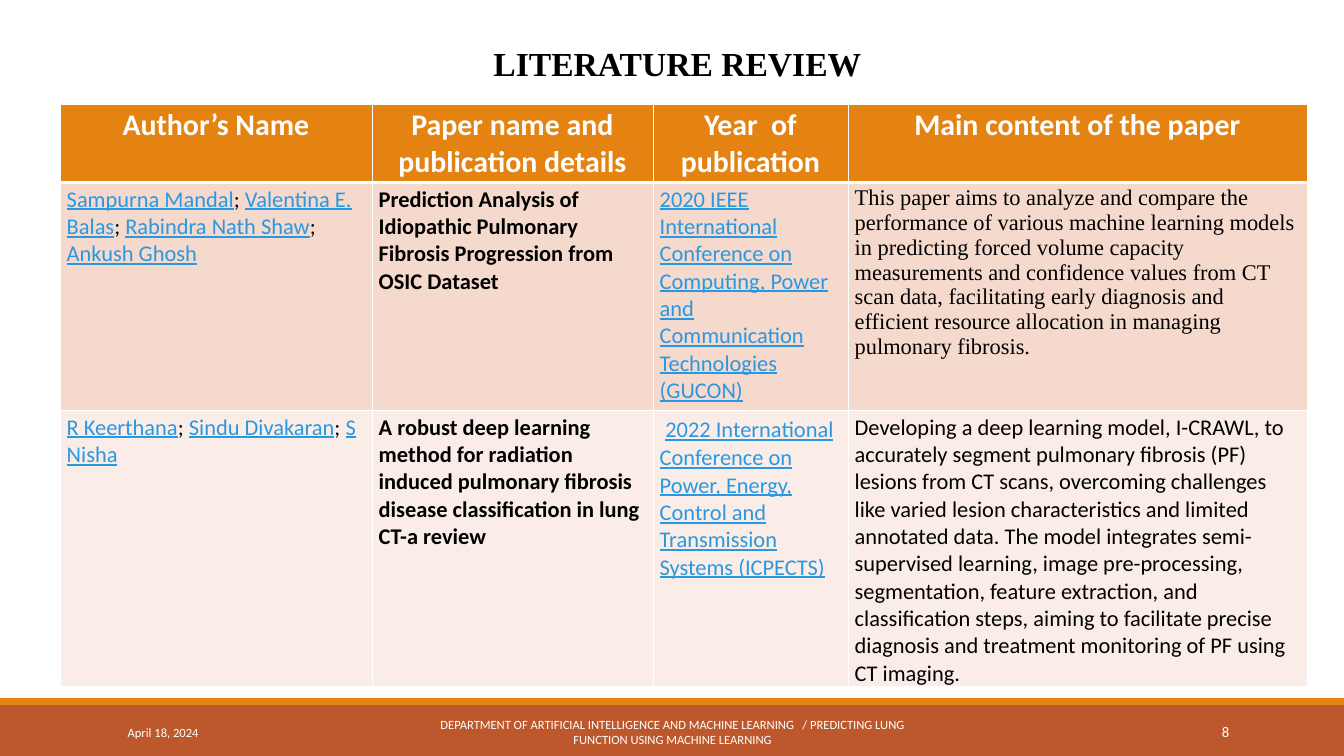
from lxml import etree
from pptx import Presentation
from pptx.dml.color import RGBColor
from pptx.enum.shapes import MSO_SHAPE
from pptx.enum.text import MSO_ANCHOR, PP_ALIGN
from pptx.oxml.ns import qn
from pptx.util import Emu, Pt

RECT = MSO_SHAPE.RECTANGLE
TOP, MIDDLE = MSO_ANCHOR.TOP, MSO_ANCHOR.MIDDLE
LEFT, CENTER, RIGHT = PP_ALIGN.LEFT, PP_ALIGN.CENTER, PP_ALIGN.RIGHT
SCALE = 914400 / 67.2
SANS, SERIF = "Calibri", "Times New Roman"
COLORS = {
    "white": "FFFFFF", "black": "000000", "orange": "E48312",
    "rust": "BD582C", "link": "2998E3", "odd": "F5D9CC", "even": "FAEDE7",
}
STYLES = {
    "head": {"size": 32, "color": "white", "bold": True},
    "plain": {"size": 24},
    "bold": {"size": 24, "bold": True},
    "serif": {"size": 24, "face": SERIF},
    "link": {"size": 24, "color": "link", "line": True},
    "gap": {"size": 27},
}
COLS = [312, 281, 195, 459]
ROWS = [77, 228, 272]
HEADS = ["Author’s Name", "Paper name and publication details",
         "Year  of publication", "Main content of the paper"]


def px(num):
    """Turn px into EMU."""
    return Emu(round(num * SCALE))


def rgb(name):
    """Look up a colour by name."""
    return RGBColor.from_string(COLORS[name])


def style(run, size, color="black", face=SANS, bold=False, line=False):
    """Format one run."""
    font = run.font
    font.size, font.name = Pt(size), face
    font.bold, font.underline = bold, line
    font.color.rgb = rgb(color)


def names(*people):
    """List authors as links parted by semicolons."""
    runs = []
    for name in people:
        runs += [(name, "link"), ("; ", "plain")]
    return runs[:-1]


BODY = [
    [
        names("Sampurna Mandal", "Valentina E. Balas",
              "Rabindra Nath Shaw", "Ankush Ghosh"),
        [("Prediction Analysis of Idiopathic Pulmonary Fibrosis Progression "
          "from OSIC Dataset", "bold")],
        [("2020 IEEE International Conference on Computing, Power and "
          "Communication Technologies (GUCON)", "link")],
        [("This paper aims to analyze and compare the performance of various "
          "machine learning models in predicting forced volume capacity "
          "measurements and confidence values from CT scan data, facilitating "
          "early diagnosis and efficient resource allocation in managing "
          "pulmonary fibrosis.", "serif")],
    ],
    [
        names("R Keerthana", "Sindu Divakaran", "S Nisha"),
        [("A robust deep learning method for radiation induced pulmonary "
          "fibrosis disease classification in lung CT-a review", "bold")],
        [(" ", "gap"),
         ("2022 International Conference on Power, Energy, Control and "
          "Transmission Systems (ICPECTS)", "link")],
        [("Developing a deep learning model, I-CRAWL, to accurately segment "
          "pulmonary fibrosis (PF) lesions from CT scans, overcoming "
          "challenges like varied lesion characteristics and limited "
          "annotated data. The model integrates semi-supervised learning, "
          "image pre-processing, segmentation, feature extraction, and "
          "classification steps, aiming to facilitate precise diagnosis and "
          "treatment monitoring of PF using CT imaging.", "plain")],
    ],
]


def bar(slide, box, color):
    """Draw a plain filled bar."""
    shape = slide.shapes.add_shape(RECT, *map(px, box))
    shape.shadow.inherit = False
    shape.fill.solid()
    shape.fill.fore_color.rgb = rgb(color)
    shape.line.fill.background()


def label(slide, box, text, size, align):
    """Place one white footer label."""
    frame = slide.shapes.add_textbox(*map(px, box)).text_frame
    frame.word_wrap = True
    frame.vertical_anchor = MIDDLE
    frame.text = text
    para = frame.paragraphs[0]
    para.alignment = align
    style(para.runs[0], size, "white")


def footer(slide, box):
    """Draw the footer band with date, department and page."""
    x, y, w, h = box
    bar(slide, (x, y + 7, w, h - 7), "rust")
    bar(slide, (x, y, w, 7), "orange")
    parts = [
        (121, 273, "April 18, 2024", 13.5, LEFT),
        (407, 531, "DEPARTMENT OF ARTIFICIAL INTELLIGENCE AND MACHINE LEARNING"
         "   / PREDICTING LUNG FUNCTION USING MACHINE LEARNING", 13.5, CENTER),
        (1091, 145, "8", 15.8, RIGHT),
    ]
    for left, wide, text, size, align in parts:
        label(slide, (x + left, y + 14, wide, 40), text, size, align)


def title(slide, box):
    """Fill and place the title."""
    shape = slide.shapes.title
    shape.left, shape.top, shape.width, shape.height = map(px, box)
    frame = shape.text_frame
    frame.word_wrap = True
    frame.vertical_anchor = TOP
    frame.text = "LITERATURE REVIEW"
    para = frame.paragraphs[0]
    para.alignment, para.line_spacing = CENTER, 1.5
    para._p.get_or_add_pPr().set("marL", str(px(34)))
    style(para.runs[0], 36, face=SERIF, bold=True)


def border(cell, widths):
    """Give a cell white borders, widths in points by side."""
    props = cell._tc.get_or_add_tcPr()
    for side, width in widths.items():
        line = etree.SubElement(props, qn("a:ln" + side), w=str(Pt(width)))
        fill = etree.SubElement(line, qn("a:solidFill"))
        etree.SubElement(fill, qn("a:srgbClr"), val=COLORS["white"])


def review(slide, box):
    """Build the table of reviewed papers."""
    shape = slide.shapes.add_table(len(ROWS), len(COLS), *map(px, box))
    table = shape.table
    table.first_row = table.horz_banding = False
    for col, wide in zip(table.columns, COLS):
        col.width = px(wide)
    for row, high in zip(table.rows, ROWS):
        row.height = px(high)
    grid = [[[(head, "head")] for head in HEADS]] + BODY
    fills = ["orange", "odd", "even"]
    for r, line in enumerate(grid):
        for c, runs in enumerate(line):
            cell = table.cell(r, c)
            border(cell, {"L": 1, "R": 1, "T": 3 if r == 1 else 1,
                          "B": 3 if r == 0 else 1})
            cell.fill.solid()
            cell.fill.fore_color.rgb = rgb(fills[r])
            para = cell.text_frame.paragraphs[0]
            para.alignment = CENTER if r == 0 else LEFT
            for text, kind in runs:
                run = para.add_run()
                run.text = text
                style(run, **STYLES[kind])


def main():
    """Build and save the slide."""
    deck = Presentation()
    deck.slide_width, deck.slide_height = px(1344), px(756)
    slide = deck.slides.add_slide(deck.slide_layouts[5])
    footer(slide, (0, 698, 1344, 58))
    title(slide, (41, 19, 1239, 60))
    review(slide, (60, 104, sum(COLS), sum(ROWS)))
    deck.save("out.pptx")


if __name__ == "__main__":
    main()
